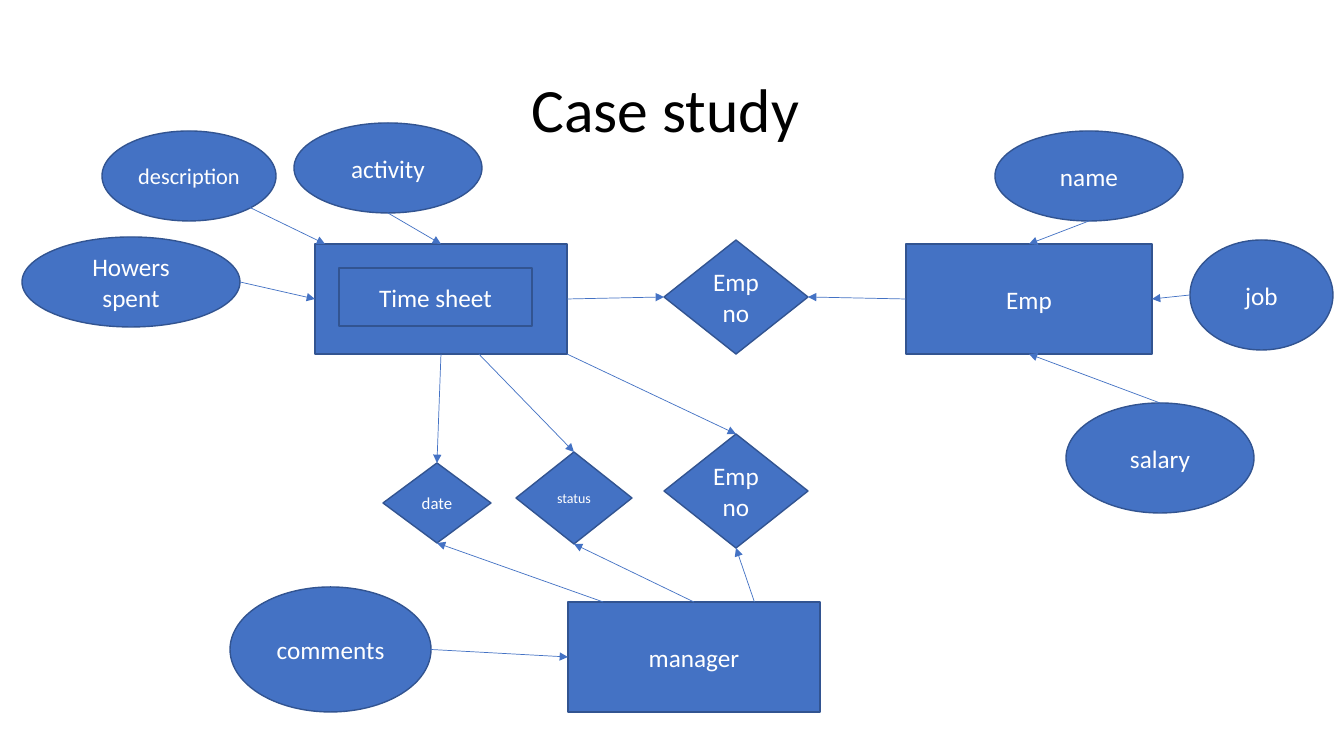
from dataclasses import dataclass

from lxml import etree
from pptx import Presentation
from pptx import util as u
from pptx.dml.color import RGBColor
from pptx.enum import shapes, text
from pptx.oxml.ns import qn

EMU_PER_PIXEL = 914400 / 100.8


@dataclass(frozen=True)
class Theme:
    font: str = "Calibri"
    fill: str = "4472C4"
    outline: str = "325491"
    title_color: str = "000000"
    label_color: str = "FFFFFF"
    title_size: int = 44
    label_size: int = 18
    medium_size: int = 16
    small_size: int = 12
    tiny_size: int = 10
    outline_width: float = 1
    arrow_width: float = 0.5


THEME = Theme()
RECTANGLE = shapes.MSO_SHAPE.RECTANGLE
ELLIPSE = shapes.MSO_SHAPE.OVAL
DIAMOND = shapes.MSO_SHAPE.DIAMOND

# Key: preset, box (left, top, width, height), label, type size
NODES = {
    # Entities
    "time sheet": (RECTANGLE, (315, 244, 252, 110), "", THEME.label_size),
    "employee": (RECTANGLE, (906, 244, 246, 110), "Emp", THEME.label_size),
    "manager": (RECTANGLE, (568, 602, 252, 110), "manager", THEME.label_size),
    # Attributes
    "description": (ELLIPSE, (102, 131, 174, 90), "description", THEME.medium_size),
    "hours": (ELLIPSE, (22, 237, 218, 90), "Howers spent", THEME.label_size),
    "activity": (ELLIPSE, (294, 123, 188, 90), "activity", THEME.label_size),
    "comments": (ELLIPSE, (230, 587, 201, 125), "comments", THEME.label_size),
    "name": (ELLIPSE, (995, 131, 188, 90), "name", THEME.label_size),
    "salary": (ELLIPSE, (1066, 403, 188, 110), "salary", THEME.label_size),
    "job": (ELLIPSE, (1190, 240, 143, 110), "job", THEME.label_size),
    # Relationships
    "employee key": (DIAMOND, (664, 240, 144, 114), "Emp no", THEME.label_size),
    "date": (DIAMOND, (383, 463, 108, 80), "date", THEME.small_size),
    "status": (DIAMOND, (516, 452, 116, 92), "status", THEME.tiny_size),
    "manager key": (DIAMOND, (664, 434, 144, 114), "Emp no", THEME.label_size),
    # Framed label inside the time sheet entity
    "time sheet label": (RECTANGLE, (339, 268, 193, 58), "Time sheet", THEME.label_size),
}

# Points on a node, as fractions of its width and height
TOP, BOTTOM, LEFT, RIGHT = (0.5, 0), (0.5, 1), (0, 0.5), (1, 0.5)
LOWER_RIGHT = (0.85, 0.85)

# Start node, start point, end node, end point
ARROWS = [
    ("hours", RIGHT, "time sheet", LEFT),
    ("description", LOWER_RIGHT, "time sheet", (0.04, 0)),
    ("activity", BOTTOM, "time sheet", TOP),
    ("time sheet", RIGHT, "employee key", LEFT),
    ("employee", LEFT, "employee key", RIGHT),
    ("name", BOTTOM, "employee", TOP),
    ("job", LEFT, "employee", RIGHT),
    ("salary", TOP, "employee", BOTTOM),
    ("time sheet", BOTTOM, "date", TOP),
    ("time sheet", (0.65, 1), "status", TOP),
    ("time sheet", (1, 1), "manager key", TOP),
    ("comments", RIGHT, "manager", LEFT),
    ("manager", TOP, "status", BOTTOM),
    ("manager", (0.74, 0), "manager key", BOTTOM),
    ("manager", (0.14, 0), "date", BOTTOM),
]


def px(value):
    return u.Emu(round(value * EMU_PER_PIXEL))


def color(value):
    return RGBColor.from_string(value)


def set_text(shape, wording, size, font_color):
    frame = shape.text_frame
    frame.word_wrap = True
    frame.vertical_anchor = text.MSO_ANCHOR.MIDDLE
    frame.text = wording
    paragraph = frame.paragraphs[0]
    paragraph.alignment = text.PP_ALIGN.CENTER
    for run in paragraph.runs:
        run.font.name = THEME.font
        run.font.size = u.Pt(size)
        run.font.color.rgb = color(font_color)


def add_title(slide, box, wording):
    shape = slide.shapes.add_textbox(*map(px, box))
    set_text(shape, wording, THEME.title_size, THEME.title_color)
    shape.text_frame.paragraphs[0].line_spacing = 0.9


def add_node(slide, preset, box, label, size):
    shape = slide.shapes.add_shape(preset, *map(px, box))
    shape.shadow.inherit = False
    shape.fill.solid()
    shape.fill.fore_color.rgb = color(THEME.fill)
    shape.line.color.rgb = color(THEME.outline)
    shape.line.width = u.Pt(THEME.outline_width)
    if label:
        set_text(shape, label, size, THEME.label_color)
    return shape


def point_on(shape, fractions):
    across, down = fractions
    return (u.Emu(round(shape.left + across * shape.width)),
            u.Emu(round(shape.top + down * shape.height)))


def add_arrow(slide, start, end):
    connector = slide.shapes.add_connector(
        shapes.MSO_CONNECTOR.STRAIGHT, *start, *end)
    connector.line.color.rgb = color(THEME.fill)
    connector.line.width = u.Pt(THEME.arrow_width)
    line = connector.line._get_or_add_ln()
    etree.SubElement(line, qn("a:tailEnd"), type="triangle")
    etree.SubElement(connector._element.spPr, qn("a:effectLst"))


def main():
    presentation = Presentation()
    presentation.slide_width, presentation.slide_height = px(1344), px(756)
    slide = presentation.slides.add_slide(presentation.slide_layouts[6])

    # The trailing space is part of the centred title
    add_title(slide, (93, 40, 1159, 146), "Case study ")

    # Diagram: nodes first, then the arrows between them
    nodes = {key: add_node(slide, *node) for key, node in NODES.items()}
    for source, start, target, end in ARROWS:
        add_arrow(slide, point_on(nodes[source], start), point_on(nodes[target], end))

    presentation.save("out.pptx")


main()
